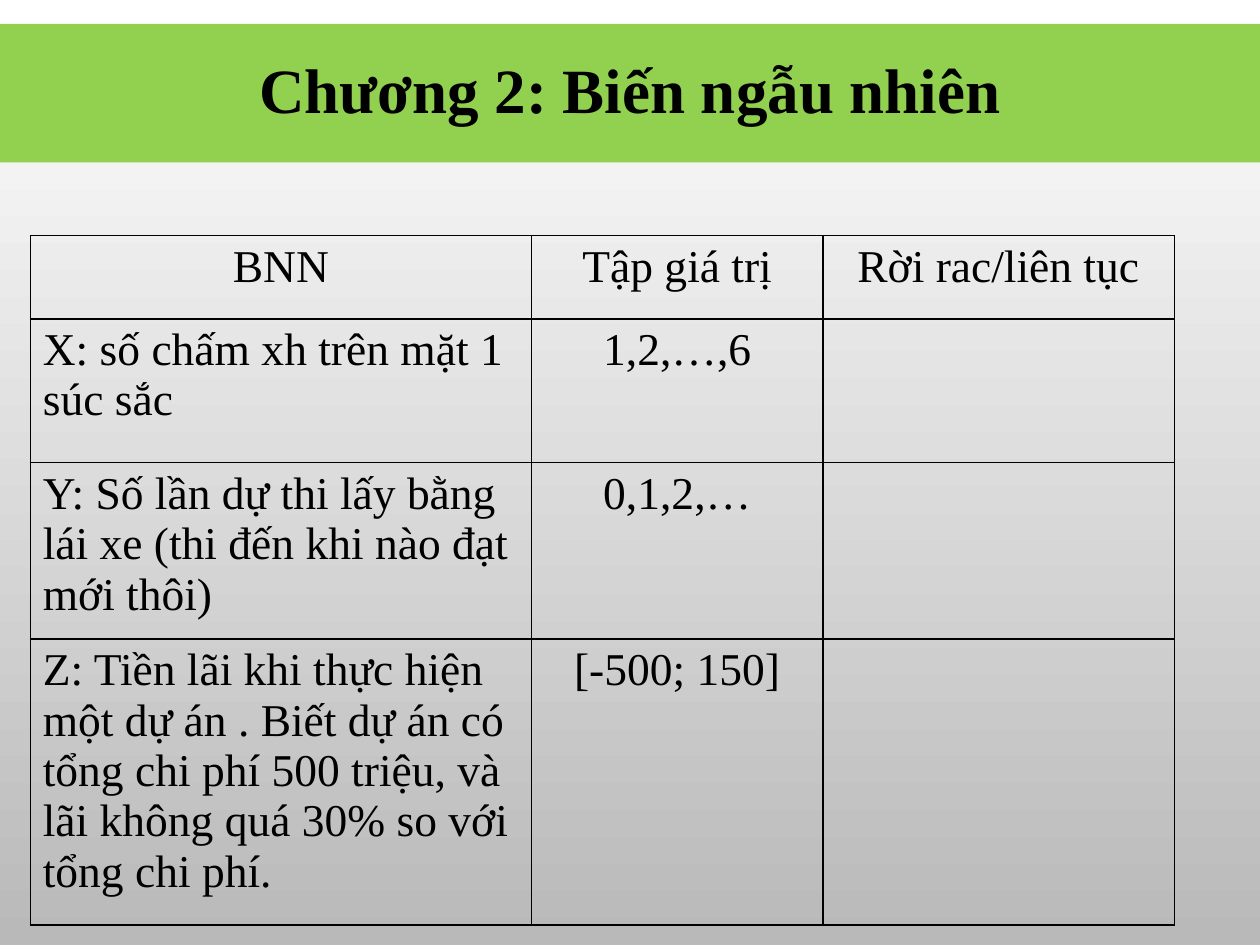
from pptx import Presentation, util as u
from pptx.dml.color import RGBColor as Rgb
from pptx.enum import shapes as sh, text as tx
from pptx.oxml import parse_xml
from pptx.oxml.ns import nsdecls

# Content
TITLE = "Chương 2: Biến ngẫu nhiên"
ROWS = [
    ("BNN", "Tập giá trị", "Rời rac/liên tục"),
    ("X: số chấm xh trên mặt 1 súc sắc", "1,2,…,6", ""),
    ("Y: Số lần dự thi lấy bằng lái xe (thi đến khi nào đạt mới thôi)",
     "0,1,2,…", ""),
    ("Z: Tiền lãi khi thực hiện một dự án . Biết dự án có tổng chi phí "
     "500 triệu, và lãi không quá 30% so với tổng chi phí.",
     "[-500; 150]", ""),
]
WIDTHS = [3.98, 2.31, 2.79]
HEIGHTS = [0.66, 1.14, 1.4, 2.27]
THEME = dict(font="Times New Roman", ink="000000", band="92D050",
             fade=("FFFFFF", "B9B9B9"), head=36, body=26, rule=1)


def write(par, words, size, bold=False, center=True):
    par.alignment = tx.PP_ALIGN.CENTER if center else tx.PP_ALIGN.LEFT
    run = par.add_run()
    run.text = words
    font = run.font
    font.name, font.size, font.bold = THEME["font"], u.Pt(size), bold
    font.color.rgb = Rgb.from_string(THEME["ink"])


def frame(cell):
    """Give the cell a thin rule on all four sides and no fill."""
    cell.fill.background()
    props = cell._tc.get_or_add_tcPr()
    for spot, side in enumerate(("lnL", "lnR", "lnT", "lnB")):
        props.insert(spot, parse_xml(
            f'<a:{side} {nsdecls("a")} w="{u.Pt(THEME["rule"])}">'
            f'<a:solidFill><a:srgbClr val="{THEME["ink"]}"/></a:solidFill>'
            f'</a:{side}>'))


deck = Presentation()
deck.slide_width, deck.slide_height = u.Inches(10), u.Inches(7.5)
slide = deck.slides.add_slide(deck.slide_layouts[6])

# Background, fading downwards
back = slide.background.fill
back.gradient()
back.gradient_angle = 270
for stop, tone, place in zip(back.gradient_stops, THEME["fade"], (0, 1)):
    stop.color.rgb = Rgb.from_string(tone)
    stop.position = place

# Table
grid = slide.shapes.add_table(
    len(ROWS), len(WIDTHS), u.Inches(0.24), u.Inches(1.87),
    u.Inches(sum(WIDTHS)), u.Inches(sum(HEIGHTS))).table
grid.first_row = grid.horz_banding = False
for col, width in zip(grid.columns, WIDTHS):
    col.width = u.Inches(width)
for row, height in zip(grid.rows, HEIGHTS):
    row.height = u.Inches(height)
for r, row in enumerate(ROWS):
    for c, words in enumerate(row):
        cell = grid.cell(r, c)
        frame(cell)
        if words:
            write(cell.text_frame.paragraphs[0], words, THEME["body"],
                  center=r == 0 or c > 0)

# Title band
band = slide.shapes.add_shape(
    sh.MSO_SHAPE.RECTANGLE, 0, u.Inches(0.19), deck.slide_width, u.Inches(1.1))
band.shadow.inherit = False
band.fill.solid()
band.fill.fore_color.rgb = Rgb.from_string(THEME["band"])
band.line.fill.background()
band.text_frame.word_wrap = True
band.text_frame.vertical_anchor = tx.MSO_ANCHOR.MIDDLE
head = band.text_frame.paragraphs[0]
head.line_spacing = 0.9
write(head, TITLE, THEME["head"], bold=True)

deck.save("out.pptx")
